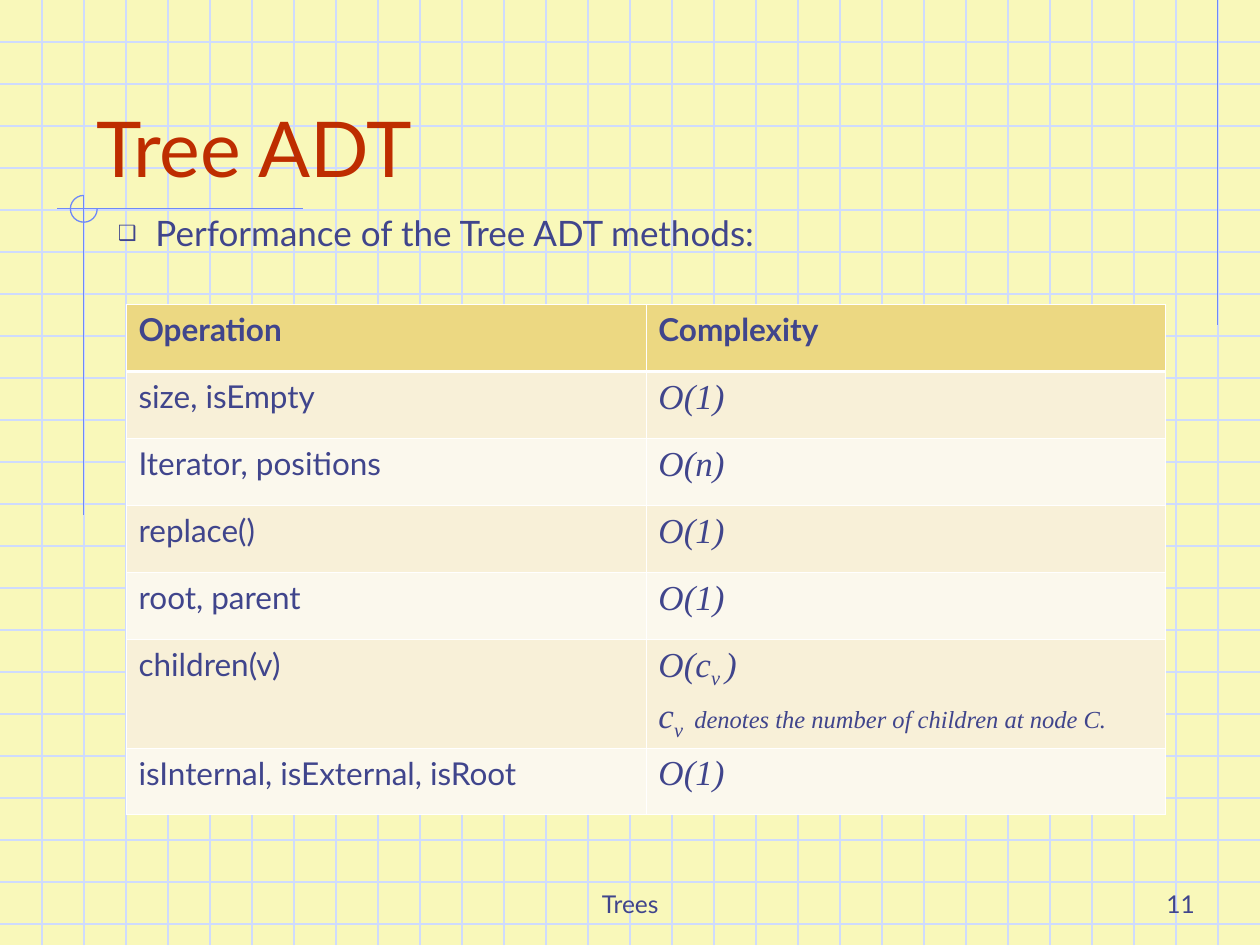
import dataclasses
import typing

import lxml.etree
import pptx
import pptx.dml.color
import pptx.enum.shapes
import pptx.enum.text
import pptx.oxml.ns
import pptx.util

Cm = pptx.util.Cm
Pt = pptx.util.Pt
Align = pptx.enum.text.PP_ALIGN
Anchor = pptx.enum.text.MSO_ANCHOR


@dataclasses.dataclass(frozen=True)
class Theme:
    background: str = "F9F8BA"
    grid: str = "CFDBFD"
    accent: str = "6F89F7"
    title: str = "BE2D00"
    text: str = "40458C"
    border: str = "FFFFFF"
    header: str = "ECD882"
    bands: tuple[str, str] = ("F8F0D8", "FBF8ED")
    font: str = "Lato"
    math_font: str = "Times New Roman"
    title_size: float = 44
    body_size: float = 20
    table_size: float = 18
    small_size: float = 14
    line_width: float = 0.75
    border_width: float = 0.45
    header_border_width: float = 1.47


class Box(typing.NamedTuple):
    """Left, top, width and height in centimetres."""
    left: float
    top: float
    width: float
    height: float

    def lengths(self) -> list[pptx.util.Length]:
        return [Cm(value) for value in self]


class Line(typing.NamedTuple):
    """Start and end of a line in centimetres."""
    x1: float
    y1: float
    x2: float
    y2: float


class Operation(typing.NamedTuple):
    name: str
    complexity: str


THEME = Theme()
WIDTH, HEIGHT = 25.4, 19.05
GRID_STEP = 2.54 / 3

ACCENT_LINES = [
    Line(24.55, 0, 24.55, 6.55),
    Line(6.1, 4.2, 1.14, 4.2),
    Line(1.69, 3.94, 1.69, 10.39),
]
ACCENT_ARC = Box(1.42, 3.94, 0.54, 0.54)

TITLE_BOX = Box(1.69, 0.85, 21.59, 3.17)
BODY_BOX = Box(2.12, 4.23, 21.59, 1.48)
FOOTER_BOX = Box(8.68, 17.36, 8.05, 1.27)
NUMBER_BOX = Box(19.05, 17.36, 5.29, 1.27)
TABLE_BOX = Box(2.54, 6.14, 20.96, 10.28)
ROW_HEIGHT, TALL_ROW_HEIGHT = 1.35, 2.18

CONSTANT = "O(1)"
OPERATIONS = [
    Operation("size, isEmpty", CONSTANT),
    Operation("Iterator, positions", "O(n)"),
    Operation("replace()", CONSTANT),
    Operation("root, parent", CONSTANT),
    Operation("children(v)", "O(c"),
    Operation("isInternal, isExternal, isRoot", CONSTANT),
]
CHILDREN_ROW = 5


def rgb(color: str) -> pptx.dml.color.RGBColor:
    return pptx.dml.color.RGBColor.from_string(color)


def add_element(parent, tag: str, **attributes: str):
    element = lxml.etree.SubElement(parent, pptx.oxml.ns.qn(tag))
    for name, value in attributes.items():
        element.set(name, value)
    return element


def add_text(paragraph, text: str, *, size: float = THEME.table_size, font: str = THEME.font,
             color: str = THEME.text, bold: bool = False, italic: bool = False,
             subscript: bool = False) -> None:
    run = paragraph.add_run()
    run.text = text
    run.font.name, run.font.size = font, Pt(size)
    run.font.bold, run.font.italic = bold, italic
    run.font.color.rgb = rgb(color)
    if subscript:
        run.font.element.set("baseline", "-25000") if hasattr(run.font, "element") else \
            run._r.get_or_add_rPr().set("baseline", "-25000")


def add_math(paragraph, text: str, *, size: float = THEME.body_size,
             subscript: bool = False) -> None:
    add_text(paragraph, text, size=size, font=THEME.math_font, italic=True, subscript=subscript)


def draw_line(slide, line: Line, color: str) -> None:
    connector = slide.shapes.add_connector(
        pptx.enum.shapes.MSO_CONNECTOR.STRAIGHT, *[Cm(value) for value in line])
    connector.line.color.rgb = rgb(color)
    connector.line.width = Pt(THEME.line_width)
    add_element(connector._element.spPr, "a:effectLst")


def draw_backdrop(slide) -> None:
    slide.background.fill.solid()
    slide.background.fill.fore_color.rgb = rgb(THEME.background)
    # Graph paper
    for step in range(1, 23):
        draw_line(slide, Line(0, step * GRID_STEP, WIDTH, step * GRID_STEP), THEME.grid)
    for step in range(1, 30):
        draw_line(slide, Line(step * GRID_STEP, 0, step * GRID_STEP, HEIGHT), THEME.grid)
    # Accent lines with a three-quarter circle where they cross
    for line in ACCENT_LINES:
        draw_line(slide, line, THEME.accent)
    arc = slide.shapes.add_shape(pptx.enum.shapes.MSO_SHAPE.ARC, *ACCENT_ARC.lengths())
    arc.adjustments[0], arc.adjustments[1] = 0, 270 * 0.6
    arc.shadow.inherit = False
    arc.fill.background()
    arc.line.color.rgb = rgb(THEME.accent)
    arc.line.width = Pt(THEME.line_width)


def place_placeholder(shape, box: Box, anchor: Anchor):
    """Move a placeholder in front of the backdrop and return its first paragraph."""
    shape.left, shape.top, shape.width, shape.height = box.lengths()
    shape.element.getparent().append(shape.element)
    shape.text_frame.auto_size = pptx.enum.text.MSO_AUTO_SIZE.NONE
    shape.text_frame.vertical_anchor = anchor
    paragraph = shape.text_frame.paragraphs[0]
    paragraph.alignment = Align.LEFT
    paragraph.space_before = Pt(0)
    return paragraph


def add_bullet(paragraph, character: str, indent: float) -> None:
    properties = paragraph._p.get_or_add_pPr()
    properties.set("marL", str(Cm(indent)))
    properties.set("indent", str(-Cm(indent)))
    add_element(add_element(properties, "a:buClr"), "a:srgbClr", val=THEME.text)
    add_element(properties, "a:buSzPct", val="60000")
    add_element(properties, "a:buChar", char=character)


def draw_footer(slide, box: Box, text: str, alignment: Align) -> None:
    frame = slide.shapes.add_textbox(*box.lengths()).text_frame
    frame.word_wrap = True
    frame.vertical_anchor = Anchor.BOTTOM
    frame.paragraphs[0].alignment = alignment
    add_text(frame.paragraphs[0], text, size=THEME.small_size)


def style_cell(cell, fill: str, top: float, bottom: float) -> None:
    side = THEME.border_width
    for tag, width in (("a:lnL", side), ("a:lnR", side), ("a:lnT", top), ("a:lnB", bottom)):
        border = add_element(cell._tc.get_or_add_tcPr(), tag, w=str(Pt(width)))
        add_element(add_element(border, "a:solidFill"), "a:srgbClr", val=THEME.border)
    cell.fill.solid()
    cell.fill.fore_color.rgb = rgb(fill)


def draw_table(slide) -> None:
    table = slide.shapes.add_table(len(OPERATIONS) + 1, 2, *TABLE_BOX.lengths()).table
    thin, thick = THEME.border_width, THEME.header_border_width
    for index, row in enumerate(table.rows):
        row.height = Cm(TALL_ROW_HEIGHT if index == CHILDREN_ROW else ROW_HEIGHT)
        fill = THEME.bands[(index - 1) % 2] if index else THEME.header
        for cell in row.cells:
            style_cell(cell, fill, thick if index == 1 else thin, thin if index else thick)
    for column, heading in enumerate(("Operation", "Complexity")):
        add_text(table.cell(0, column).text_frame.paragraphs[0], heading, bold=True)
    for index, operation in enumerate(OPERATIONS, start=1):
        add_text(table.cell(index, 0).text_frame.paragraphs[0], operation.name)
        add_math(table.cell(index, 1).text_frame.paragraphs[0], operation.complexity)

    # Subscript and explanation for children(v)
    frame = table.cell(CHILDREN_ROW, 1).text_frame
    add_math(frame.paragraphs[0], "v ", subscript=True)
    add_math(frame.paragraphs[0], ")")
    note = frame.add_paragraph()
    note.space_before = Pt(4)
    add_math(note, "c")
    add_math(note, "v ", subscript=True)
    add_math(note, " denotes the number of children at node C.", size=THEME.small_size)


def main() -> None:
    presentation = pptx.Presentation()
    presentation.slide_width, presentation.slide_height = Cm(WIDTH), Cm(HEIGHT)
    slide = presentation.slides.add_slide(presentation.slide_layouts[1])
    draw_backdrop(slide)
    draw_footer(slide, FOOTER_BOX, "Trees", Align.CENTER)
    draw_footer(slide, NUMBER_BOX, "11", Align.RIGHT)

    # Title and body
    title = place_placeholder(slide.shapes.title, TITLE_BOX, Anchor.BOTTOM)
    add_text(title, "Tree ADT", size=THEME.title_size, color=THEME.title)
    body = place_placeholder(slide.placeholders[1], BODY_BOX, Anchor.TOP)
    body.line_spacing = 0.9
    add_bullet(body, "❑", indent=0.76)
    add_text(body, "Performance of the Tree ADT methods:", size=THEME.body_size)

    draw_table(slide)
    presentation.save("out.pptx")


if __name__ == "__main__":
    main()
